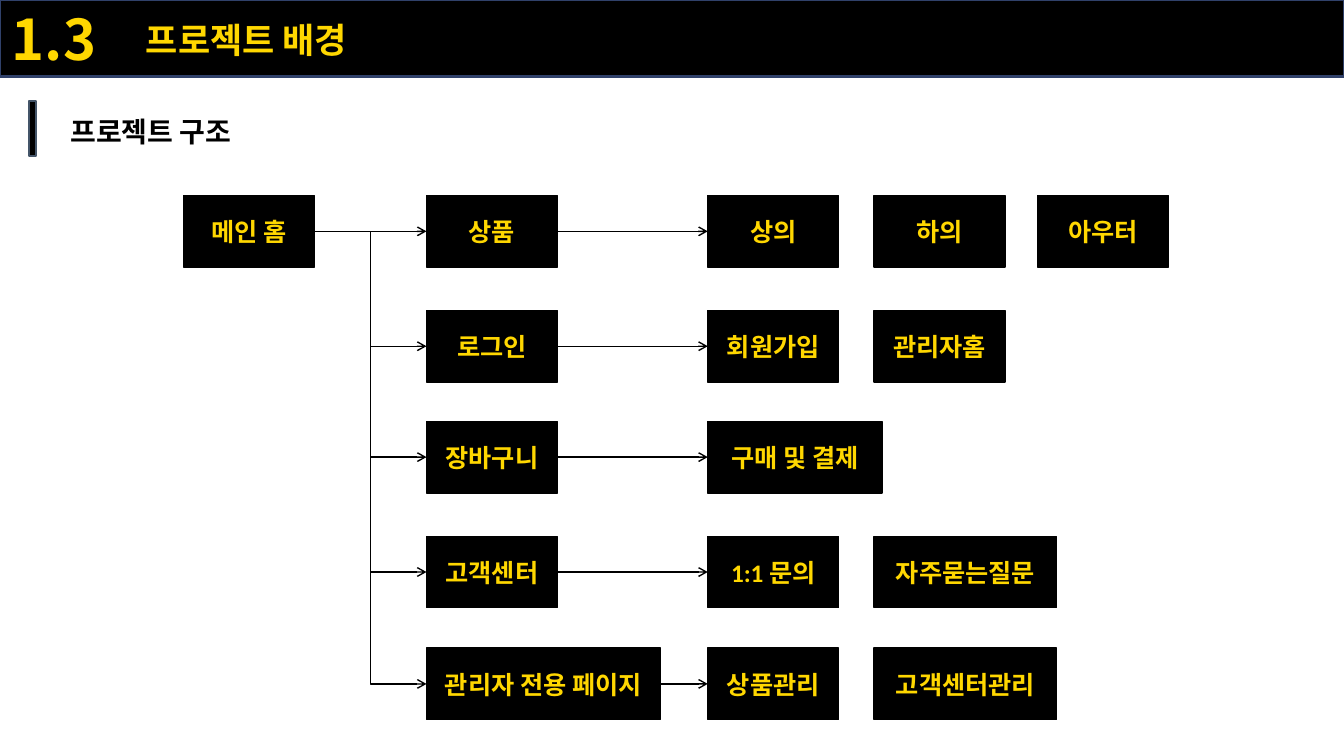
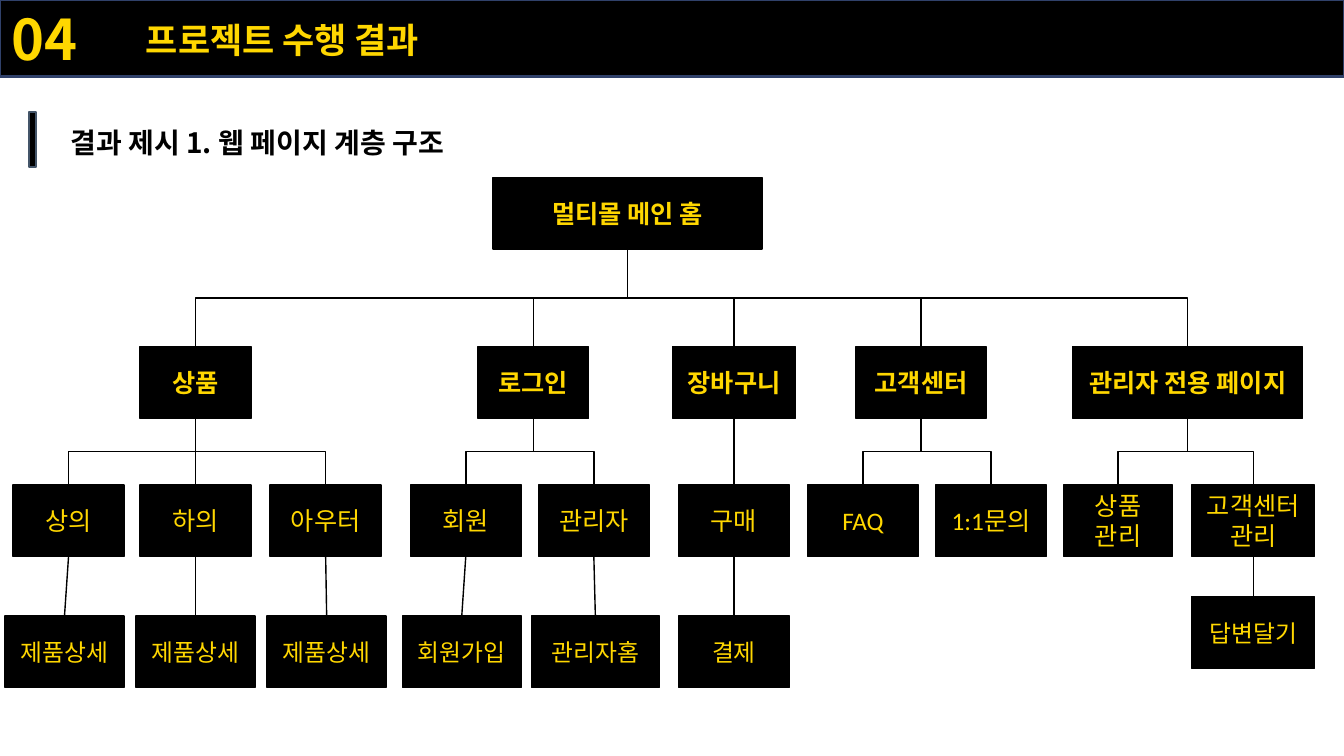
from dataclasses import dataclass

from lxml import etree
from pptx import Presentation
from pptx import util as u
from pptx.dml.color import RGBColor
from pptx.enum import shapes, text
from pptx.oxml.ns import qn


@dataclass(frozen=True)
class Theme:
    black: RGBColor = RGBColor(0, 0, 0)
    gold: RGBColor = RGBColor(0xFF, 0xD7, 0x00)
    band_edge: RGBColor = RGBColor(0x30, 0x41, 0x6A)
    bar_edge: RGBColor = RGBColor(0x44, 0x55, 0x69)
    body: str = "Calibri"
    digits: str = "Noto Sans CJK KR"
    number: int = 40
    title: int = 25
    heading: int = 20
    node: int = 18
    leaf: int = 17
    thin: float = 1
    edge: float = 1.5


@dataclass(frozen=True)
class Box:
    x: float
    y: float
    w: float
    h: float

    def at(self, dx, dy, w, h):
        return Box(self.x + dx, self.y + dy, w, h)

    def emu(self):
        return [u.Inches(v) for v in (self.x, self.y, self.w, self.h)]


T = Theme()
PAGE = Box(0, 0, 13.33, 7.5)
NODE_H = 0.71
TOP, LEFT, BOTTOM, RIGHT = range(4)  # connection sites of a rectangle

# Site map: column lefts and row tops inside its box, then (text, width) by row
MAP_BOX = Box(1.82, 1.94, 9.77, 5.2)
MAP_COLS = (0, 2.41, 5.2, 6.85, 8.47)
MAP_ROWS = (0, 1.14, 2.24, 3.38, 4.49)
MAP_HOME = "메인 홈"
MAP_W = 1.3
SITE_MAP = (
    (("상품", MAP_W), ("상의", MAP_W), ("하의", MAP_W), ("아우터", MAP_W)),
    (("로그인", MAP_W), ("회원가입", MAP_W), ("관리자홈", MAP_W)),
    (("장바구니", MAP_W), ("구매 및 결제", 1.73)),
    (("고객센터", MAP_W), ("1:1 문의", MAP_W), ("자주묻는질문", 1.81)),
    (("관리자 전용 페이지", 2.32), ("상품관리", MAP_W), ("고객센터관리", 1.81)),
)

# Page tree: level tops inside its box, then (text, left, width, children)
TREE_BOX = Box(0.05, 1.76, 13, 5.06)
TREE_ROWS = (0, 1.68, 3.05, 4.35)
REPLY_TOP = 4.16
PAGE_TREE = ("멀티몰 메인 홈", 4.84, 2.67, (
    ("상품", 1.34, 1.1, (
        ("상의", 0.08, 1.1, (("제품상세", 0, 1.18, ()),)),
        ("하의", 1.34, 1.1, (("제품상세", 1.3, 1.18, ()),)),
        ("아우터", 2.63, 1.1, (("제품상세", 2.6, 1.18, ()),)))),
    ("로그인", 4.69, 1.1, (
        ("회원", 4.02, 1.1, (("회원가입", 3.94, 1.18, ()),)),
        ("관리자", 5.29, 1.1, (("관리자홈", 5.22, 1.27, ()),)))),
    ("장바구니", 6.62, 1.22, (
        ("구매", 6.68, 1.1, (("결제", 6.68, 1.1, ()),)),)),
    ("고객센터", 8.44, 1.29, (
        ("FAQ", 7.96, 1.1, ()),
        ("1:1문의", 9.23, 1.1, ()))),
    ("관리자 전용 페이지", 10.59, 2.28, (
        ("상품\n관리", 10.5, 1.08, ()),
        ("고객센터관리", 11.77, 1.22, (("답변달기", 11.77, 1.22, ()),)))),
))


def add_rect(s, box, edge, width):
    sp = s.shapes.add_shape(shapes.MSO_SHAPE.RECTANGLE, *box.emu())
    sp.shadow.inherit = False
    sp.fill.solid()
    sp.fill.fore_color.rgb = T.black
    sp.line.color.rgb = edge
    sp.line.width = u.Pt(width)
    return sp


def add_label(s, box, runs, size, color):
    """One bold line made of (text, font) runs."""
    tf = s.shapes.add_textbox(*box.emu()).text_frame
    tf.word_wrap = True
    tf.auto_size = text.MSO_AUTO_SIZE.SHAPE_TO_FIT_TEXT
    p = tf.paragraphs[0]
    p.font.size, p.font.bold, p.font.color.rgb = u.Pt(size), True, color
    for words, font in runs:
        r = p.add_run()
        r.text, r.font.name = words, font


def add_node(s, box, words, size=T.node, bold=True):
    sp = add_rect(s, box, T.black, T.thin)
    tf = sp.text_frame
    tf.word_wrap = True
    tf.vertical_anchor = text.MSO_ANCHOR.MIDDLE
    tf.text = words
    for p in tf.paragraphs:
        p.alignment = text.PP_ALIGN.CENTER
        p.font.name, p.font.size, p.font.bold = T.body, u.Pt(size), bold
        p.font.color.rgb = T.gold
    return sp


def link(s, start, end, sites, bent=False, arrow=False):
    """Glue a connector from one node to another."""
    kind = shapes.MSO_CONNECTOR.ELBOW if bent else shapes.MSO_CONNECTOR.STRAIGHT
    c = s.shapes.add_connector(kind, 0, 0, 0, 0)
    c.begin_connect(start, sites[0])
    c.end_connect(end, sites[1])
    c.line.color.rgb = T.black
    c.line.width = u.Pt(T.thin)
    if arrow:
        etree.SubElement(c.line._get_or_add_ln(), qn("a:tailEnd"), type="arrow")
    etree.SubElement(c.element.spPr, qn("a:effectLst"))
    if bent and sites[0] == BOTTOM:
        turn_down(c)


def turn_down(c):
    """Rotate an elbow so that it leaves downwards."""
    flip = "1" if c.end_x > c.begin_x else "0"
    x, y, w, h = c.left, c.top, c.width, c.height
    c.left, c.top = x + (w - h) // 2, y + (h - w) // 2
    c.width, c.height = h, w
    xfrm = c.element.spPr.find(qn("a:xfrm"))
    for name, value in (("rot", "5400000"), ("flipH", "0"), ("flipV", flip)):
        xfrm.set(name, value)


def header(s, box, number, title):
    """Title band across the top of a slide."""
    add_rect(s, box, T.band_edge, T.edge)
    add_label(s, box.at(0.02, 0, 1.27, box.h), [(number, T.digits)], T.number, T.gold)
    add_label(s, box.at(1.35, 0.13, 4.57, 0.51), [(title, T.body)], T.title, T.gold)


def heading(s, box, runs):
    """Section heading with a bar on its left."""
    add_rect(s, box.at(0, 0, 0.07, box.h), T.bar_edge, T.edge)
    add_label(s, box.at(0.31, 0.09, box.w - 0.31, 0.42), runs, T.heading, T.black)


def site_map(s, box):
    """Home on the left, one row of pages for each section."""
    home = add_node(s, box.at(0, 0, MAP_W, NODE_H), MAP_HOME)
    for i, (top, row) in enumerate(zip(MAP_ROWS, SITE_MAP)):
        nodes = [add_node(s, box.at(left, top, w, NODE_H), words)
                 for left, (words, w) in zip(MAP_COLS[1:], row)]
        link(s, home, nodes[0], (RIGHT, LEFT), bent=i > 0, arrow=True)
        link(s, nodes[0], nodes[1], (RIGHT, LEFT), arrow=True)


def page_tree(s, box, branch, level=0):
    """Draw a branch with everything below it; return its top node."""
    words, left, w, children = branch
    top = REPLY_TOP if words == "답변달기" else TREE_ROWS[level]
    size = T.leaf if level == 3 else T.node
    node = add_node(s, box.at(left, top, w, NODE_H), words, size, bold=level < 2)
    for child in children:
        below = page_tree(s, box, child, level + 1)
        offset = abs(left + w / 2 - child[1] - child[2] / 2)
        link(s, node, below, (BOTTOM, TOP), bent=offset > 0.1)
    return node


def main():
    prs = Presentation()
    prs.slide_width, prs.slide_height = u.Inches(PAGE.w), u.Inches(PAGE.h)
    band = PAGE.at(0, 0, PAGE.w, 0.76)

    # Project structure
    s = prs.slides.add_slide(prs.slide_layouts[6])
    header(s, band, "1.3", "프로젝트 배경")
    heading(s, PAGE.at(0.29, 1, 5.7, 0.55), [("프로젝트 구조", T.body)])
    site_map(s, MAP_BOX)

    # Page hierarchy
    s = prs.slides.add_slide(prs.slide_layouts[6])
    header(s, band, "04", "프로젝트 수행 결과")
    heading(s, PAGE.at(0.29, 1.11, 5.7, 0.55),
            [("결과 제시 ", T.body), ("1. ", T.digits), ("웹 페이지 계층 구조", T.body)])
    page_tree(s, TREE_BOX, PAGE_TREE)

    prs.save("out.pptx")


if __name__ == "__main__":
    main()
